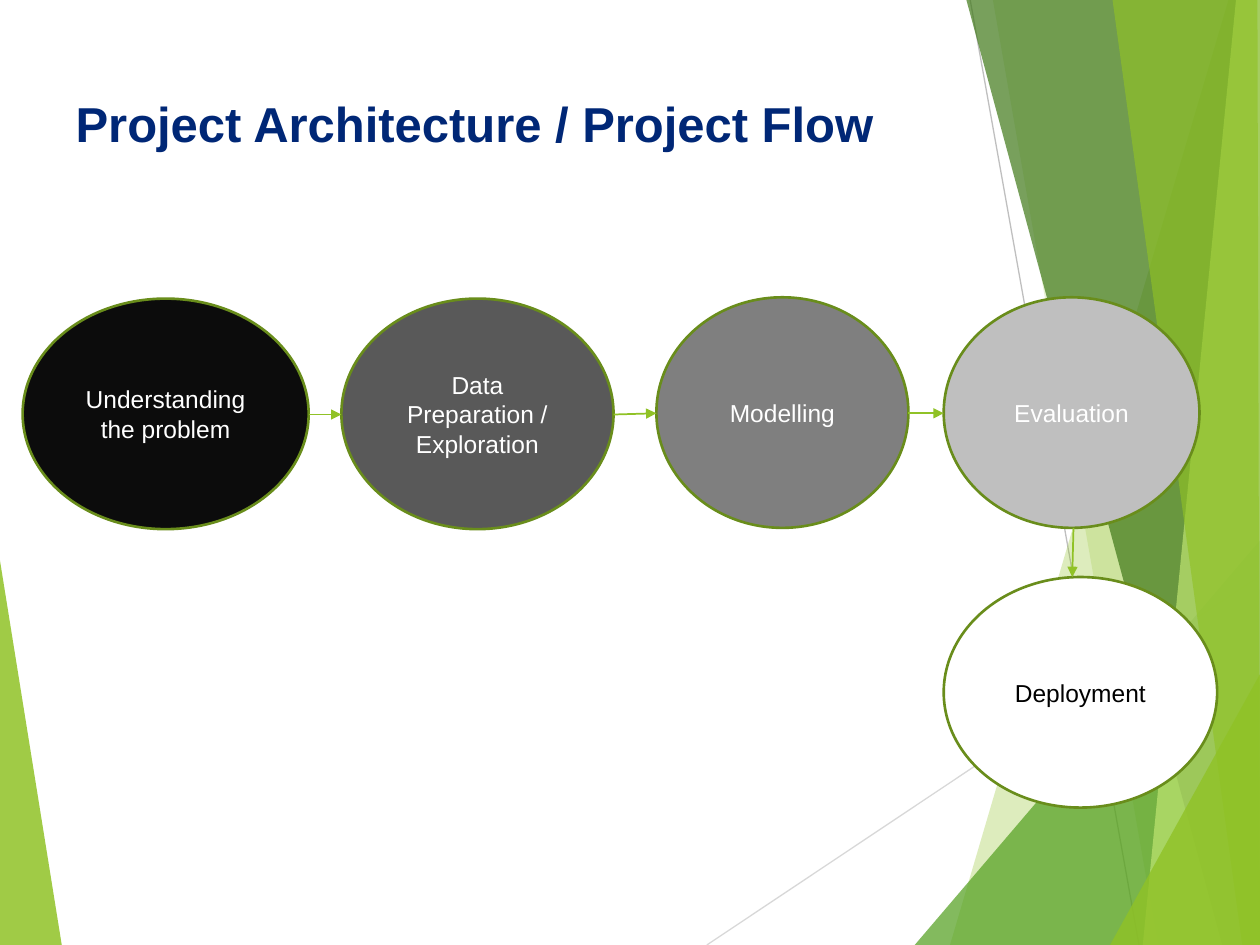
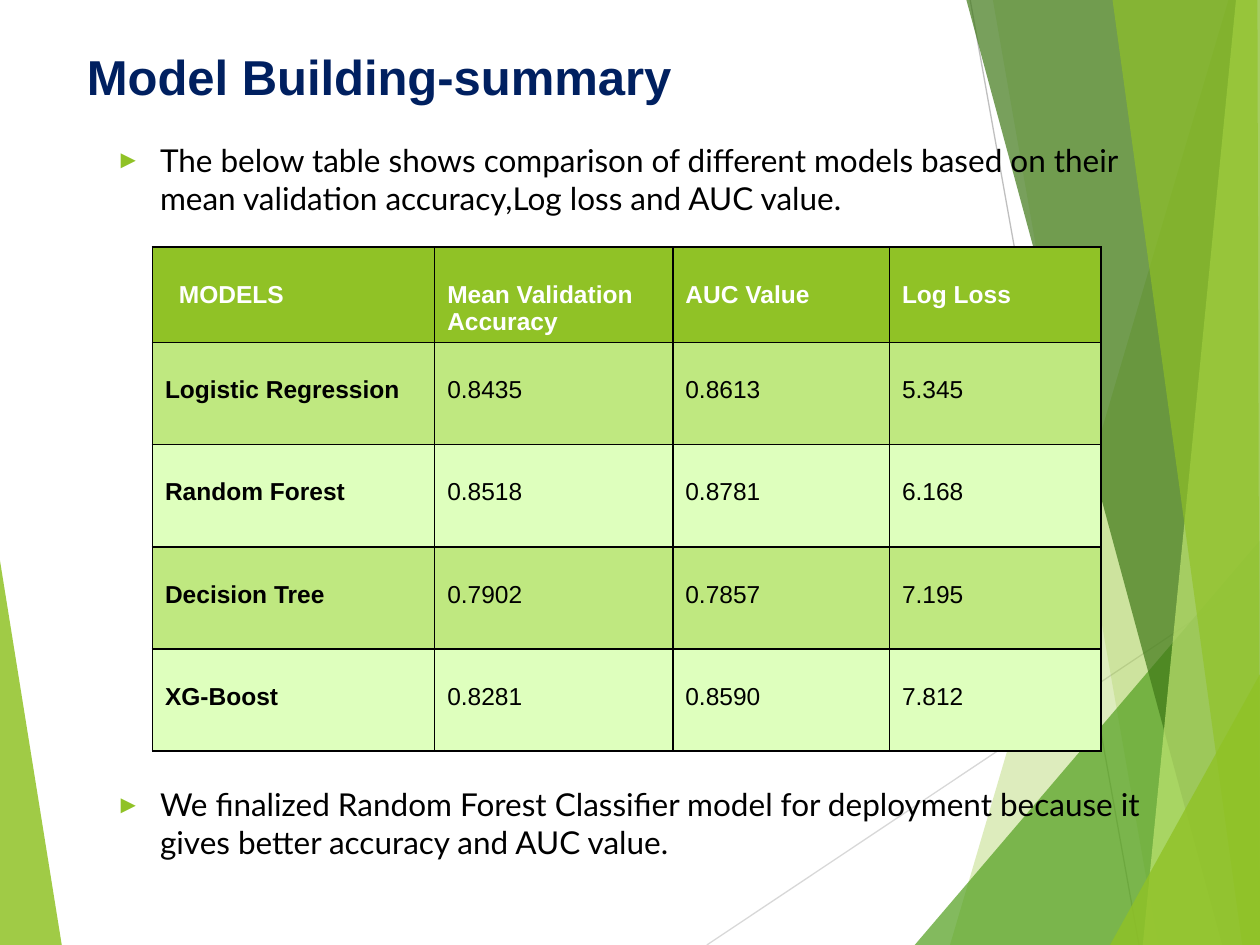
from dataclasses import dataclass
from lxml.etree import SubElement
from pptx import Presentation
from pptx.dml.color import RGBColor
from pptx.enum.shapes import MSO_CONNECTOR, MSO_SHAPE
from pptx.enum.text import MSO_ANCHOR, MSO_AUTO_SIZE, PP_ALIGN
from pptx.oxml.ns import qn
from pptx.util import Inches, Pt


@dataclass(frozen=True)
class Theme:
    lime: str = "90C226"
    pale: str = "BFE471"
    green: str = "54A021"
    dark: str = "3F7818"
    rim: str = "698D1B"
    navy: str = "002776"
    deep: str = "002060"
    black: str = "000000"
    white: str = "FFFFFF"
    light: str = "D8D8D8"
    gray: str = "BFBFBF"
    odd: str = "BFE880"
    even: str = "DEFFBD"
    font: str = "Arial"
    body: str = "Lato"
    head: int = 28
    list: int = 18
    small: int = 14


THEME = Theme()

FACETS = [
    (THEME.lime, 85, [(0, 4.45), (0.49, 7.5), (0, 7.5)]),
    (THEME.lime, 30, [(9.75, 0), (7.54, 7.5), (10, 7.5), (10, 0)]),
    (THEME.lime, 20, [(7.88, 0), (9.19, 7.5), (10, 7.5), (10, 0)]),
    (THEME.green, 72, [(7.26, 7.5), (10, 4.29), (10, 7.5)]),
    (THEME.dark, 70, [(7.67, 0), (9.7, 7.5), (10, 7.5), (10, 0)]),
    (THEME.pale, 70, [(9.81, 0), (9.07, 7.5), (10, 7.5), (10, 0)]),
    (THEME.lime, 65, [(8.83, 0), (9.86, 7.5), (10, 7.5), (9.98, 0)]),
    (THEME.lime, 80, [(8.81, 7.5), (10, 5.35), (10, 7.5)]),
]
RAYS = [
    (THEME.light, (5.61, 7.5), (10, 4.57)),
    (THEME.gray, (7.7, 0), (9.04, 7.5)),
]
STEPS = [
    ("Understanding the problem", 0.18, 2.37, 2.27, "0C0C0C", THEME.white),
    ("Data Preparation / Exploration", 2.71, 2.37, 2.16, "595959", THEME.white),
    ("Modelling", 5.21, 2.36, 2, "7F7F7F", THEME.white),
    ("Evaluation", 7.49, 2.36, 2.03, "BFBFBF", THEME.white),
    ("Deployment", 7.49, 4.58, 2.17, THEME.white, THEME.black),
]
NOTES = [
    ("The below table shows comparison of different models based on their "
     "mean validation accuracy,Log loss and AUC value.", 0),
    ("We finalized Random Forest Classifier model for deployment because it "
     "gives better accuracy and AUC value.", 325),
]
SCORES = [
    ("MODELS", "Mean Validation Accuracy", "AUC Value", "Log Loss"),
    ("Logistic Regression", "0.8435", "0.8613", "5.345"),
    ("Random Forest", "0.8518", "0.8781", "6.168"),
    ("Decision Tree", "0.7902", "0.7857", "7.195"),
    ("XG-Boost", "0.8281", "0.8590", "7.812"),
]


def rgb(code):
    return RGBColor.from_string(code)


def write(para, words, size=THEME.small, color=THEME.black, font=THEME.font,
          bold=False, align=PP_ALIGN.LEFT, before=0):
    run = para.add_run()
    run.text = words
    run.font.size = Pt(size)
    run.font.name = font
    run.font.bold = bold
    run.font.color.rgb = rgb(color)
    para.alignment = align
    para.space_before = Pt(before)


def place(shape, left, top, width, height):
    shape.left, shape.top = Inches(left), Inches(top)
    shape.width, shape.height = Inches(width), Inches(height)


def line(slide, start, end, color, width, arrow=False):
    ends = [Inches(n) for n in (*start, *end)]
    item = slide.shapes.add_connector(MSO_CONNECTOR.STRAIGHT, *ends)
    item.line.color.rgb = rgb(color)
    item.line.width = Pt(width)
    if arrow:
        SubElement(item.line._get_or_add_ln(), qn("a:tailEnd"), type="triangle")
    SubElement(item.element.spPr, qn("a:effectLst"))
    return item


def facet(slide, color, alpha, points):
    spots = [(Inches(x), Inches(y)) for x, y in points]
    path = slide.shapes.build_freeform(*spots[0])
    path.add_line_segments(spots[1:])
    item = path.convert_to_shape()
    item.shadow.inherit = False
    item.fill.solid()
    item.fill.fore_color.rgb = rgb(color)
    tint = item.element.spPr.find(".//" + qn("a:srgbClr"))
    SubElement(tint, qn("a:alpha"), val=str(alpha * 1000))
    item.line.fill.background()
    return item


def backdrop(deck, slide):
    left, *right = FACETS
    items = [facet(slide, *left)]
    items += [line(slide, start, end, color, 0.75) for color, start, end in RAYS]
    items += [facet(slide, *part) for part in right]
    tree = deck.slide_master.shapes.element
    for rank, item in enumerate(items):
        item.element.find(".//" + qn("p:cNvPr")).set("id", str(100 + rank))
        tree.insert(2 + rank, item.element)


def title(slide, words, box, color, inset=0.1):
    shape = slide.shapes.title
    place(shape, *box)
    frame = shape.text_frame
    frame.auto_size = MSO_AUTO_SIZE.NONE
    frame.vertical_anchor = MSO_ANCHOR.TOP
    frame.margin_left = Inches(inset)
    write(frame.paragraphs[0], words, size=THEME.head, color=color, bold=True)


def oval(slide, words, left, top, width, fill, color):
    item = slide.shapes.add_shape(MSO_SHAPE.OVAL, Inches(left), Inches(top),
                                  Inches(width), Inches(1.83))
    item.shadow.inherit = False
    item.fill.solid()
    item.fill.fore_color.rgb = rgb(fill)
    item.line.color.rgb = rgb(THEME.rim)
    item.line.width = Pt(1.5)
    frame = item.text_frame
    frame.word_wrap = True
    frame.vertical_anchor = MSO_ANCHOR.MIDDLE
    write(frame.paragraphs[0], words, color=color, align=PP_ALIGN.CENTER)


def flow(slide):
    for step in STEPS:
        oval(slide, *step)
    row = STEPS[:4]
    for (_, left, top, width, *_), (_, goal, level, *_) in zip(row, row[1:]):
        line(slide, (left + width, top + 0.92), (goal, level + 0.92),
             THEME.lime, 1, arrow=True)
    line(slide, (8.52, 4.19), (8.51, 4.58), THEME.lime, 1, arrow=True)


def bullet(para):
    props = para._p.get_or_add_pPr()
    props.set("marL", str(Inches(0.5)))
    props.set("indent", str(Inches(-0.35)))
    tint = SubElement(props, qn("a:buClr"))
    SubElement(tint, qn("a:srgbClr"), val=THEME.lime)
    SubElement(props, qn("a:buSzPct"), val="80000")
    SubElement(props, qn("a:buFont"), typeface=THEME.font)
    SubElement(props, qn("a:buChar"), char="►")


def notes(slide):
    body = slide.placeholders[1]
    place(body, 0.67, 1.07, 8.74, 6.06)
    frame = body.text_frame
    frame.auto_size = MSO_AUTO_SIZE.NONE
    for rank, (words, gap) in enumerate(NOTES):
        para = frame.add_paragraph() if rank else frame.paragraphs[0]
        write(para, words, size=THEME.list, font=THEME.body, before=gap)
        bullet(para)


def border(cell):
    props = cell._tc.get_or_add_tcPr()
    for side in ("lnL", "lnR", "lnT", "lnB"):
        edge = SubElement(props, qn("a:" + side), w=str(Pt(1)))
        paint = SubElement(edge, qn("a:solidFill"))
        SubElement(paint, qn("a:srgbClr"), val=THEME.black)


def grid(slide):
    frame = slide.shapes.add_table(5, 4, Inches(1.21), Inches(1.96),
                                   Inches(7.53), Inches(4))
    table = frame.table
    for col, width in zip(table.columns, (2.24, 1.89, 1.72, 1.68)):
        col.width = Inches(width)
    for i, values in enumerate(SCORES):
        table.rows[i].height = Inches(0.81 if i else 0.76)
        fill = (THEME.odd if i % 2 else THEME.even) if i else THEME.lime
        for j, words in enumerate(values):
            cell = table.cell(i, j)
            border(cell)
            cell.fill.solid()
            cell.fill.fore_color.rgb = rgb(fill)
            cell.margin_top = Inches(0.27)
            cell.margin_bottom = Inches(0.02)
            write(cell.text_frame.paragraphs[0], words,
                  color=THEME.black if i else THEME.white,
                  bold=i == 0 or j == 0)
    table.cell(0, 0).margin_left = Inches(0.21)


def main():
    deck = Presentation()
    deck.slide_width, deck.slide_height = Inches(10), Inches(7.5)

    first = deck.slides.add_slide(deck.slide_layouts[5])
    backdrop(deck, first)
    title(first, "Project Architecture / Project Flow",
          (0.5, 0.69, 6.71, 0.57), THEME.navy)
    flow(first)

    second = deck.slides.add_slide(deck.slide_layouts[1])
    notes(second)
    title(second, "Model Building-summary",
          (0.48, 0.32, 5.64, 0.67), THEME.deep, inset=0.21)
    grid(second)

    deck.save("out.pptx")


if __name__ == "__main__":
    main()
